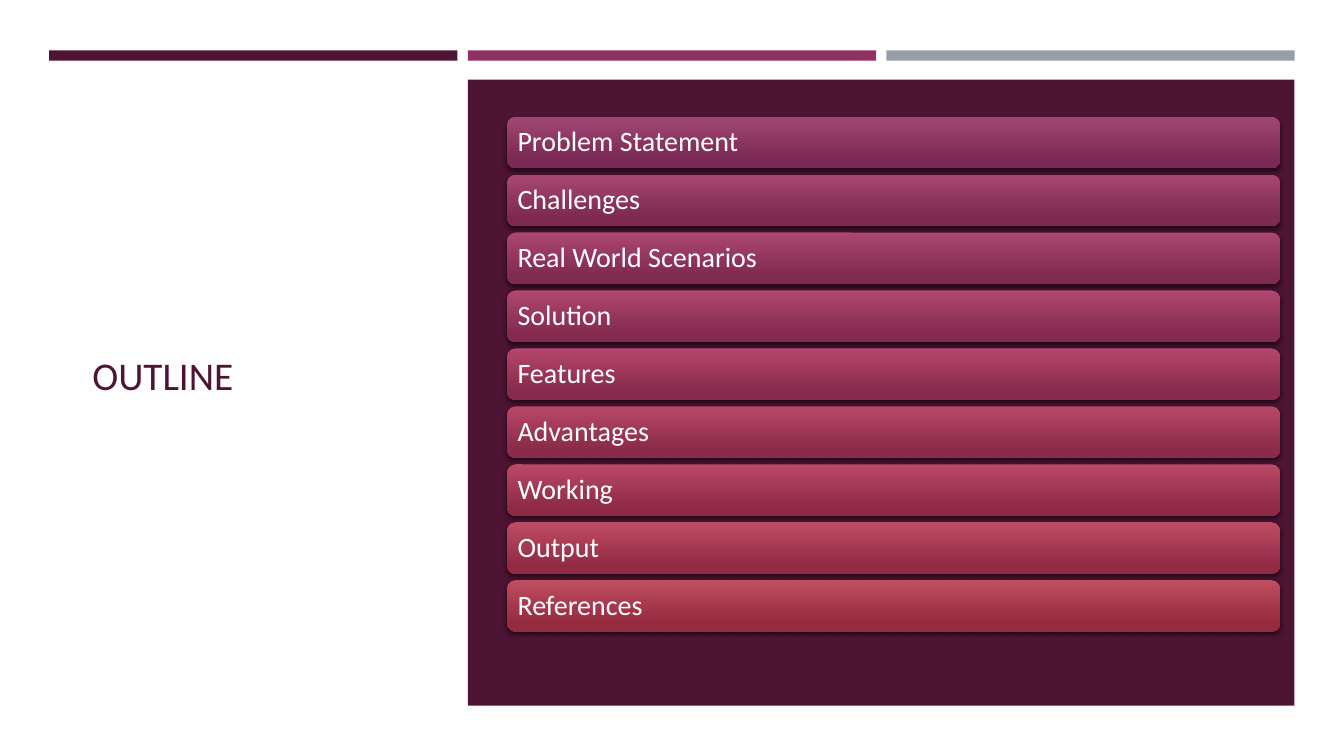
"""Build the outline slide with its nine topic bars."""
from lxml import etree
from pptx import Presentation
from pptx.dml.color import RGBColor
from pptx.enum.shapes import MSO_SHAPE
from pptx.enum.text import MSO_ANCHOR, PP_ALIGN
from pptx.oxml import parse_xml
from pptx.util import Cm, Pt

RECTANGLE = MSO_SHAPE.RECTANGLE
ROUNDED = MSO_SHAPE.ROUNDED_RECTANGLE
MIDDLE = MSO_ANCHOR.MIDDLE
LEFT = PP_ALIGN.LEFT
PLUM = "4D1434"
SHADOW = (
    '<a:outerShdw xmlns:a="http://schemas.openxmlformats.org/drawingml/2006/main"'
    ' blurRad="38100" dist="25400" dir="5400000" rotWithShape="0">'
    '<a:srgbClr val="000000"><a:alpha val="55000"/></a:srgbClr></a:outerShdw>'
)
TOPICS = [
    ("Problem Statement", "A24774", "792953"),
    ("Challenges", "A64772", "7D2952"),
    ("Real World Scenarios", "AB4770", "802A50"),
    ("Solution", "AF476E", "842A4E"),
    ("Features", "B4476B", "872A4B"),
    ("Advantages", "B84868", "8B2A49"),
    ("Working", "BA4A66", "8E2A46"),
    ("Output", "BD4C64", "922A43"),
    ("References", "BF4E61", "962A3F"),
]


def color(value):
    return RGBColor.from_string(value)


def write(shape, text, size, text_color, frame_format, paragraph_format):
    frame = shape.text_frame
    paragraph = frame.paragraphs[0]
    paragraph.text = text
    font = paragraph.runs[0].font
    font.color.rgb = color(text_color)
    font_format = {"name": "Calibri", "size": Pt(size)}
    for target, values in (
        (frame, frame_format),
        (paragraph, paragraph_format),
        (font, font_format),
    ):
        for name, value in values.items():
            setattr(target, name, value)


presentation = Presentation()
presentation.slide_width = Cm(33.87)
presentation.slide_height = Cm(19.05)
slide = presentation.slides.add_slide(presentation.slide_layouts[6])
slide.background.fill.solid()
slide.background.fill.fore_color.rgb = color("FFFEFF")

title = slide.shapes.add_textbox(Cm(2.08), Cm(2.9), Cm(8.48), Cm(13.08))
write(title, "OUTLINE", 28, PLUM,
      {"word_wrap": True, "vertical_anchor": MIDDLE}, {"alignment": LEFT})

blocks = [
    (1.24 + 10.55 * column, 1.27, 10.29, 0.26, fill)
    for column, fill in enumerate((PLUM, "903163", "969FA7"))
]
blocks.append((11.79, 2.01, 20.83, 15.77, PLUM))
for left, top, width, height, fill in blocks:
    block = slide.shapes.add_shape(RECTANGLE, Cm(left), Cm(top), Cm(width), Cm(height))
    block.shadow.inherit = False
    block.fill.solid()
    block.fill.fore_color.rgb = color(fill)
    block.line.fill.background()

bar_frame = {"word_wrap": True, "vertical_anchor": MIDDLE}
for side in ("left", "right", "top", "bottom"):
    bar_frame[f"margin_{side}"] = Cm(0.2)
bar_paragraph = {"alignment": LEFT, "line_spacing": 0.9}

for row, (topic, light, dark) in enumerate(TOPICS):
    bar = slide.shapes.add_shape(
        ROUNDED, Cm(12.78), Cm(2.94 + 1.46 * row), Cm(19.48), Cm(1.3))
    bar.line.fill.background()
    bar.fill.gradient()
    bar.fill.gradient_angle = 270
    for stop, position, shade in zip(bar.fill.gradient_stops, (0, 0.84), (light, dark)):
        stop.position = position
        stop.color.rgb = color(shade)
    bar.shadow.inherit = False
    effects = bar.element.spPr.find("{*}effectLst")
    effects.append(etree.fromstring(SHADOW))
    write(bar, topic, 20, "FFFFFF", bar_frame, bar_paragraph)

presentation.save("out.pptx")
